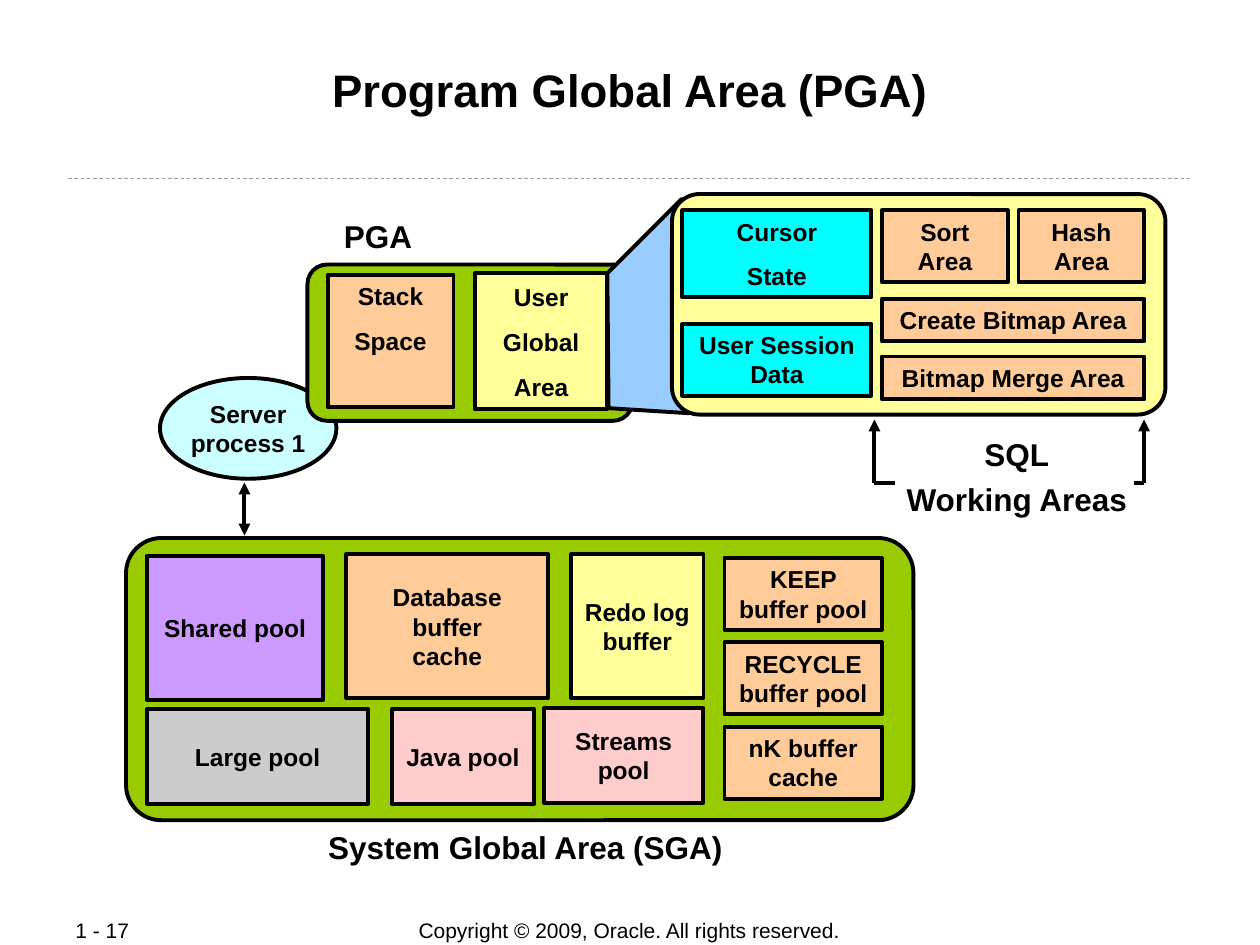
from lxml import etree
from pptx import Presentation, util as u
from pptx.dml.color import RGBColor
from pptx.enum import dml, shapes, text
from pptx.oxml.ns import qn

UNIT = u.Inches(1) / 12  # grid of 120 columns by 90 rows
RECT = shapes.MSO_SHAPE.RECTANGLE
ROUND = shapes.MSO_SHAPE.ROUNDED_RECTANGLE
OVAL = shapes.MSO_SHAPE.OVAL
MID, TOP = text.MSO_ANCHOR.MIDDLE, text.MSO_ANCHOR.TOP
LEFT, MIDDLE = text.PP_ALIGN.LEFT, text.PP_ALIGN.CENTER
BLACK, GREEN, PEACH, YELLOW = "000000", "99CC00", "FFCC99", "FFFF99"
CYAN, PINK = "00FFFF", "FFCCCC"


def color(code):
    return RGBColor.from_string(code)


def emu(vals):
    return [u.Emu(round(v * UNIT)) for v in vals]


def inner(area, part):
    """Turn a part given relative to an area into slide grid units."""
    return (area[0] + part[0], area[1] + part[1], *part[2:])


def write(frame, words, size=14, gap=8.8, anchor=TOP, wrap=True, bold=True,
          align=MIDDLE):
    """Fill a frame: one paragraph per list entry, a line break per newline."""
    frame.word_wrap = wrap
    frame.vertical_anchor = anchor
    for i, words_in in enumerate(words):
        para = frame.paragraphs[0] if i == 0 else frame.add_paragraph()
        para.alignment = align
        para.space_before = u.Pt(gap if i else 0)
        for j, line in enumerate(words_in.split("\n")):
            if j:
                para.add_line_break()
            run = para.add_run()
            run.text = line
            font = run.font
            font.name, font.size, font.bold = "Arial", u.Pt(size), bold
            font.color.rgb = color(BLACK)


def paint(shape, fill):
    shape.shadow.inherit = False
    shape.fill.solid()
    shape.fill.fore_color.rgb = color(fill)
    shape.line.color.rgb = color(BLACK)
    shape.line.width = u.Pt(2.25)


def block(slide, area, fill, words=(), kind=RECT, **style):
    shape = slide.shapes.add_shape(kind, *emu(area))
    if kind == ROUND:
        shape.adjustments[0] = 0.125
    paint(shape, fill)
    if words:
        write(shape.text_frame, words, **style)


def label(slide, area, words, size=18, **style):
    box = slide.shapes.add_textbox(*emu(area))
    write(box.text_frame, words, size, 4.5, **{"wrap": False, **style})


def line(slide, start, end, ends=(), ink=BLACK, width=2.25):
    """Draw a line; ends names the arrowheads, headEnd before tailEnd."""
    link = slide.shapes.add_connector(shapes.MSO_CONNECTOR.STRAIGHT,
                                      *emu((*start, *end)))
    link.line.color.rgb = color(ink)
    link.line.width = u.Pt(width)
    pen = link.line._get_or_add_ln()
    for name in ends:
        etree.SubElement(pen, qn("a:" + name), type="triangle")
    etree.SubElement(link._element.spPr, qn("a:effectLst"))
    return link


def header(slide, area):
    title = slide.shapes.title
    title.left, title.top, title.width, title.height = emu(area)
    frame = title.text_frame
    frame.margin_left = frame.margin_right = u.Inches(0.01)
    frame.margin_top = frame.margin_bottom = u.Inches(0.01)
    write(frame, ["Program Global Area (PGA)"], 26)
    rule = line(slide, (6.48, 17.04), (113.52, 17.04), ink="999999", width=0.5)
    rule.line.dash_style = dml.MSO_LINE.DASH


def footer(slide, area):
    plain = dict(size=12, bold=False, anchor=MID)
    label(slide, inner(area, (0, 0, 12.72, 2.4)), ["1 - 17"],
          align=LEFT, wrap=True, **plain)
    label(slide, inner(area, (27, 0, 53.88, 2.52)),
          ["Copyright © 2009, Oracle. All rights reserved."], **plain)


def process(slide, area):
    block(slide, area, "CCFFFF", ["Server\nprocess 1"], OVAL,
          anchor=MID, wrap=False)


def pga(slide, area):
    block(slide, area, GREEN, kind=ROUND)
    block(slide, inner(area, (1.92, 0.96, 12, 12.6)), PEACH, ["Stack", "Space"])
    block(slide, inner(area, (15.96, 0.84, 12.6, 12.96)), YELLOW,
          ["User", "Global", "Area"], anchor=MID, wrap=False)
    label(slide, inner(area, (2.28, -5.16, 8.88, 4.8)), ["PGA"])


def sga(slide, area):
    block(slide, area, GREEN, kind=ROUND)
    pools = [
        ((2, 16.3, 21.1, 9), "CCCCCC", "Large pool", False),
        ((25.3, 16.3, 13.6, 9), PINK, "Java pool", False),
        ((2, 1.7, 16.8, 13.7), "CC99FF", "Shared pool", False),
        ((21, 1.55, 19.2, 13.7), PEACH, "Database\nbuffer\ncache", False),
        ((42.4, 1.55, 12.6, 13.7), YELLOW, "Redo log\nbuffer", False),
        ((39.8, 16.2, 15.2, 9), PINK, "Streams pool", True),
    ]
    for part, fill, words, wrap in pools:
        block(slide, inner(area, part), fill, [words], anchor=MID, wrap=wrap)
    caches = ["KEEP buffer pool", "RECYCLE buffer pool", "nK buffer cache"]
    for i, words in enumerate(caches):
        block(slide, inner(area, (57, 1.9 + 8.04 * i, 15, 6.84)), PEACH, [words])
    label(slide, inner(area, (18, 27, 40.08, 4.8)), ["System Global Area (SGA)"])


def funnel(slide, points):
    """Link the user global area to its enlarged view."""
    first, *rest = [emu(p) for p in points]
    pen = slide.shapes.build_freeform(*first)
    pen.add_line_segments(rest)
    paint(pen.convert_to_shape(), "99CCFF")


def detail(slide, area):
    block(slide, area, YELLOW, kind=ROUND)
    parts = [
        ((1, 12.36, 18, 6.84), CYAN, ["User Session Data"]),
        ((1, 1.56, 18, 8.28), CYAN, ["Cursor", "State"]),
        ((20, 1.56, 12, 6.84), PEACH, ["Sort Area"]),
        ((33, 1.56, 12, 6.84), PEACH, ["Hash Area"]),
        ((20, 9.96, 25, 4.08), PEACH, ["Create Bitmap Area"]),
        ((20, 15.48, 25, 4.08), PEACH, ["Bitmap Merge Area"]),
    ]
    for part, fill, words in parts:
        block(slide, inner(area, part), fill, words)


def bracket(slide, area):
    left, top, wide, high = area
    base = top + high
    for x, stub in ((left, 1.92), (left + wide, -0.96)):
        line(slide, (x, base), (x + stub, base))
        line(slide, (x, base), (x, top), ["tailEnd"])
    label(slide, inner(area, (1.8, 0.84, 23.52, 9.24)), ["SQL", "Working Areas"])


def main():
    deck = Presentation()
    deck.slide_width, deck.slide_height = emu((120, 90))
    slide = deck.slides.add_slide(deck.slide_layouts[5])
    header(slide, (8, 5.76, 104, 11.52))
    footer(slide, (6, 87.36))
    process(slide, (15.24, 36, 16.8, 9.6))
    pga(slide, (29.28, 25.2, 30.96, 14.88))
    sga(slide, (12, 51.24, 75, 26.88))
    line(slide, (23.28, 45.96), (23.28, 51), ["headEnd", "tailEnd"])
    funnel(slide, [(64.92, 18.96), (57.84, 26.04), (57.96, 38.88), (65.64, 39.36)])
    detail(slide, (64, 18.48, 47, 21))
    bracket(slide, (83.28, 39.96, 25.68, 6))
    deck.save("out.pptx")


if __name__ == "__main__":
    main()
